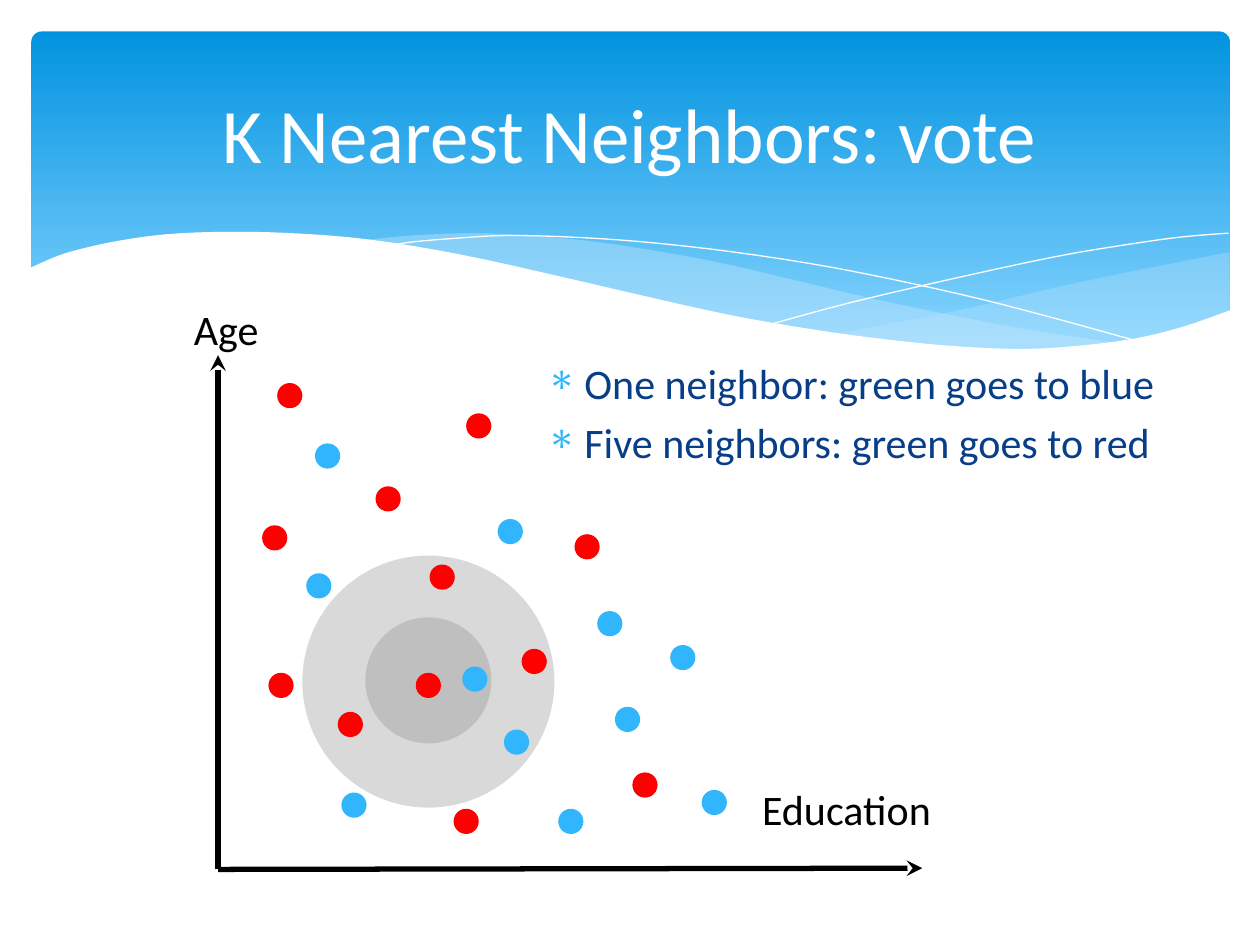
"""Build the K Nearest Neighbors voting slide."""
from dataclasses import dataclass
from typing import NamedTuple, Optional

from lxml import etree
from pptx import Presentation
from pptx import util as u
from pptx.dml.color import RGBColor
from pptx.enum import shapes, text
from pptx.oxml import ns


@dataclass(frozen=True)
class Theme:
    font: str = "Calibri"
    title_size: float = 44
    text_size: float = 24
    white: str = "FFFFFF"
    black: str = "000000"
    navy: str = "073E87"
    blue: str = "31B6FD"
    red: str = "FF0000"
    mist: str = "C6E7FC"
    sky_top: str = "0293E0"
    sky_bottom: str = "83D3FE"
    outer_zone: str = "D9D9D9"
    inner_zone: str = "BFBFBF"


class Point(NamedTuple):
    x: float
    y: float


class Box(NamedTuple):
    left: float
    top: float
    width: float
    height: float


class Disc(NamedTuple):
    left: float
    top: float
    size: float
    color: str


@dataclass(frozen=True)
class Wave:
    edges: list
    fill: Optional[str] = None
    opacity: int = 100


THEME = Theme()
DOT = 14.4
ORIGIN = Point(124.6, 496.8)
AXIS_ENDS = [Point(527, 496.1), Point(124.6, 203)]
LABELS = {"Age": Box(103.7, 169.9, 112.3, 36), "Education": Box(428.4, 444.2, 156.2, 36)}
VOTES = ["One neighbor: green goes to blue", "Five neighbors: green goes to red"]
ZONES = [Disc(172.8, 317.5, 144, THEME.outer_zone), Disc(208.8, 352.8, 72, THEME.inner_zone)]
SAMPLES = {
    THEME.blue: [(284.4, 296.6), (264.2, 380.9), (288, 416.9), (351.4, 403.9), (383, 368.6),
                 (180, 253.4), (341.3, 349.2), (195.1, 452.9), (401, 451.4), (175, 327.6),
                 (319, 462.2)],
    THEME.red: [(193, 406.8), (328.3, 305.3), (149.8, 300.2), (245.5, 322.6), (266.4, 236.2),
                (361.4, 441.4), (158.4, 218.9), (298.1, 370.8), (259.2, 462.2), (214.6, 277.9),
                (153.4, 384.5), (237.6, 384.5)],
}
WAVES = [
    Wave([[(702.7, 144), (619.9, 160.6), (542, 178.6), (476, 190.8)],
          [(476, 190.8), (507.6, 195.1), (545, 198.7), (578, 200.2), (607.7, 199.4),
           (634.3, 196.6), (663, 190.8), (683.3, 185), (702.7, 177.8)]], THEME.mist, 29),
    Wave([[(643, 196.6), (581, 187.2), (508.3, 172.8), (452.9, 159.8), (409.7, 149.8),
           (370, 142.6), (334.8, 137.5), (302.4, 134.6), (273.6, 133.2), (247.7, 133.9),
           (225.4, 135.4), (205.9, 137.5)],
          [(205.9, 137.5), (246.2, 143.3), (290.9, 151.9), (323.3, 159.8), (381.6, 172.8),
           (432.7, 183.6), (478.8, 191.5), (519.8, 197.3), (556.6, 199.4), (589, 200.2),
           (617, 199.4), (643, 196.6)]], THEME.mist, 40),
    Wave([[(222.5, 140.4), (236.2, 138.2), (261.4, 136.1), (288.7, 134.6), (324, 135.4),
           (367.2, 138.2), (419, 144), (478.8, 153.4), (547.2, 167.8), (598.3, 180.7),
           (653, 195.8)]]),
    Wave([[(441.4, 185), (483.8, 173.5), (538.6, 160.6), (601.9, 146.9), (644.4, 139.7),
           (675.4, 135.4), (702, 133.2)]]),
    Wave([[(703.4, 177.1), (676.8, 186.5), (647.3, 193.7), (612, 198), (582.5, 199.4),
           (547.9, 198), (509.8, 194.4), (466.6, 188.6), (416.9, 180), (362.2, 167.8),
           (321.8, 158.4), (262.8, 145.4), (210.2, 136.8), (165.6, 133.2), (127.4, 132.5),
           (95, 133.9), (68.4, 137.5), (48.2, 141.8), (33.1, 146.2), (16.6, 153.4)],
          [(16.6, 236.9), (703.4, 236.9)]], THEME.white),
]


def rgb(color: str) -> RGBColor:
    return RGBColor.from_string(color)


def lengths(values) -> list:
    return [u.Pt(value) for value in values]


def add_xml(parent, tag: str, **attributes: str):
    return etree.SubElement(parent, ns.qn(tag), attributes)


def smooth(knots: list, steps: int = 4) -> list:
    padded = [knots[0], *knots, knots[-1]]
    curve = [knots[0]]
    for a, b, c, d in zip(padded, padded[1:], padded[2:], padded[3:]):
        for step in range(1, steps + 1):
            t = step / steps
            curve.append(tuple(
                (2 * q + (r - p) * t + (2 * p - 5 * q + 4 * r - s) * t ** 2
                 + (3 * q - p - 3 * r + s) * t ** 3) / 2
                for p, q, r, s in zip(a, b, c, d)))
    return curve


def draw_banner(slide) -> None:
    banner = slide.shapes.add_shape(
        shapes.MSO_SHAPE.ROUNDED_RECTANGLE, *lengths(Box(18, 18, 684.7, 194.4)))
    banner.adjustments[0] = 0.03
    banner.shadow.inherit = False
    banner.line.fill.background()
    banner.fill.gradient()
    banner.fill.gradient_angle = 270
    stops = [(0, THEME.sky_top), (0.9, THEME.sky_bottom)]
    for stop, (position, color) in zip(banner.fill.gradient_stops, stops):
        stop.position = position
        stop.color.rgb = rgb(color)


def draw_wave(slide, wave: Wave) -> None:
    outline = [lengths(point) for edge in wave.edges for point in smooth(edge)]
    builder = slide.shapes.build_freeform(*outline[0], scale=1.0)
    builder.add_line_segments(outline[1:], close=wave.fill is not None)
    crest = builder.convert_to_shape()
    crest.shadow.inherit = False
    if wave.fill is None:
        crest.fill.background()
        crest.line.color.rgb = rgb(THEME.white)
        crest.line.width = u.Pt(0)
        return
    crest.line.fill.background()
    crest.fill.solid()
    crest.fill.fore_color.rgb = rgb(wave.fill)
    if wave.opacity < 100:
        tint = crest.element.spPr.find(ns.qn("a:solidFill"))[0]
        add_xml(tint, "a:alpha", val=str(wave.opacity * 1000))


def draw_disc(slide, disc: Disc) -> None:
    circle = slide.shapes.add_shape(
        shapes.MSO_SHAPE.OVAL, *lengths((disc.left, disc.top, disc.size, disc.size)))
    circle.shadow.inherit = False
    circle.fill.solid()
    circle.fill.fore_color.rgb = rgb(disc.color)
    circle.line.fill.background()


def draw_axis(slide, end: Point) -> None:
    axis = slide.shapes.add_connector(
        shapes.MSO_CONNECTOR.STRAIGHT, *lengths((*ORIGIN, *end)))
    axis.line.color.rgb = rgb(THEME.black)
    axis.line.width = u.Pt(3)
    add_xml(axis.line._get_or_add_ln(), "a:tailEnd", type="stealth")
    add_xml(axis.element.spPr, "a:effectLst")


def format_text(paragraph, size: float, color: str) -> None:
    for run in paragraph.runs:
        run.font.name = THEME.font
        run.font.size = u.Pt(size)
        run.font.color.rgb = rgb(color)


def place_title(slide, wording: str) -> None:
    title = slide.shapes.title
    title.left, title.top, title.width, title.height = lengths(Box(36, 26.6, 648, 98.6))
    frame = title.text_frame
    frame.text = wording
    frame.vertical_anchor = text.MSO_ANCHOR.MIDDLE
    frame.paragraphs[0].alignment = text.PP_ALIGN.CENTER
    format_text(frame.paragraphs[0], THEME.title_size, THEME.white)
    slide.shapes.element.append(title.element)


def write_text(slide, box: Box, wording: str, color: str):
    frame = slide.shapes.add_textbox(*lengths(box)).text_frame
    frame.word_wrap = True
    frame.text = wording
    for paragraph in frame.paragraphs:
        format_text(paragraph, THEME.text_size, color)
    return frame


def add_bullet(paragraph) -> None:
    paragraph.space_before = u.Pt(4.8)
    properties = paragraph._p.get_or_add_pPr()
    properties.set("marL", str(u.Pt(21.6)))
    properties.set("indent", str(u.Pt(-21.6)))
    add_xml(add_xml(properties, "a:buClr"), "a:srgbClr", val=THEME.blue)
    add_xml(properties, "a:buChar", char="∗")


def main() -> None:
    deck = Presentation()
    deck.slide_width, deck.slide_height = lengths((720, 540))
    slide = deck.slides.add_slide(deck.slide_layouts[5])
    draw_banner(slide)
    for wave in WAVES:
        draw_wave(slide, wave)
    for zone in ZONES:
        draw_disc(slide, zone)
    votes = write_text(slide, Box(305.3, 200.9, 380.2, 98.6), "\n".join(VOTES), THEME.navy)
    for paragraph in votes.paragraphs:
        add_bullet(paragraph)
    place_title(slide, "K Nearest Neighbors: vote")
    for end in AXIS_ENDS:
        draw_axis(slide, end)
    for wording, box in LABELS.items():
        label = write_text(slide, box, wording, THEME.black)
        label.auto_size = text.MSO_AUTO_SIZE.SHAPE_TO_FIT_TEXT
    for color, corners in SAMPLES.items():
        for left, top in corners:
            draw_disc(slide, Disc(left, top, DOT, color))
    deck.save("out.pptx")


if __name__ == "__main__":
    main()
